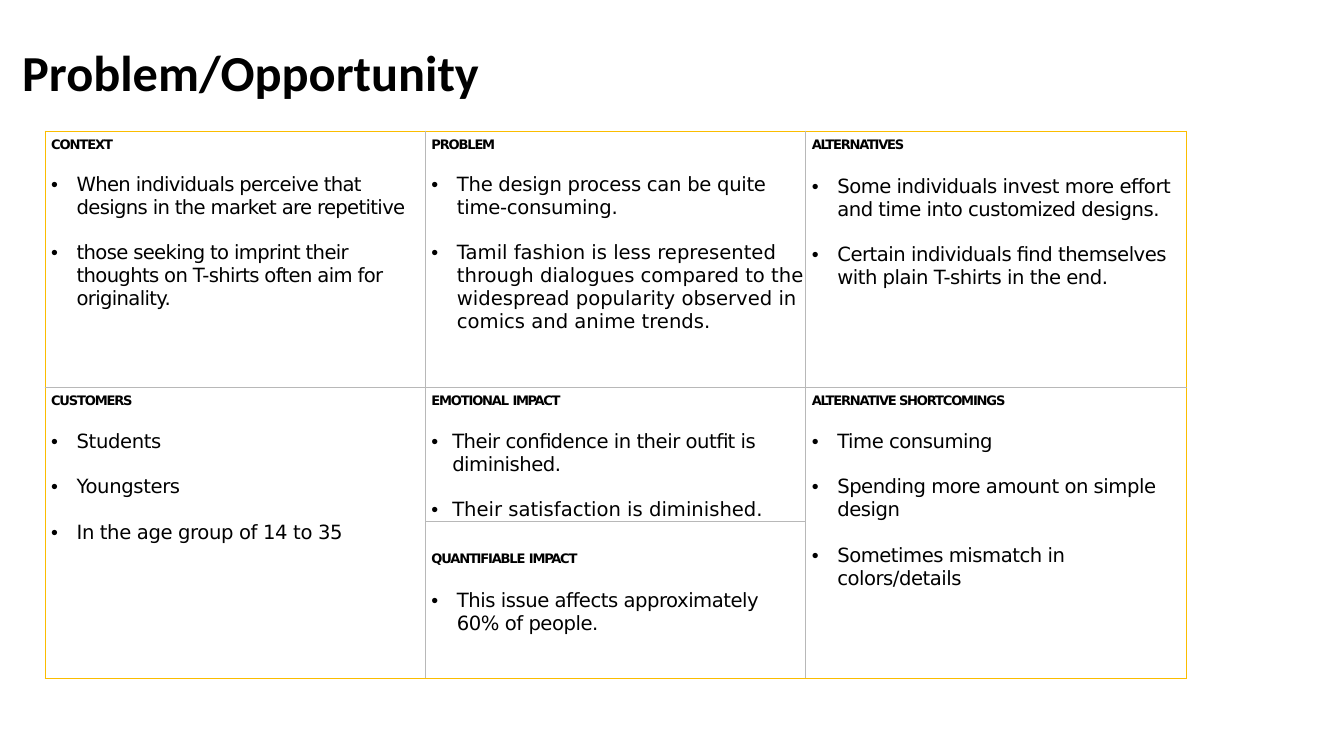
from pptx import Presentation
from pptx.dml.color import RGBColor as Rgb
from pptx.enum.text import MSO_ANCHOR as Anchor, PP_ALIGN as Align
from pptx.oxml.ns import qn
from pptx.util import Inches as In, Pt
from lxml.etree import SubElement as Sub, Element

BLACK, AMBER, GRAY = "000000", "FBBD00", "B8B8B8"
SANS = "DejaVu Sans"
COLS = (5.66, 5.66, 5.67)
ROWS = (3.82, 1.99, 2.33)
LINE = 24.4  # points in one line of body text

# (row, column): heading runs, bullets, gap below heading, hanging indent;
# each run or bullet carries its letter spacing in points
CELLS = {
    (0, 0): ([("CONTEXT", -1.2)], [
        ("When individuals perceive that designs in the market are repetitive", -0.7),
        ("those seeking to imprint their thoughts on T-shirts often aim for originality.", -0.7),
    ], 22.6, 0.38),
    (0, 1): ([("PROBLEM", -1.3)], [
        ("The design process can be quite time-consuming.", -0.3),
        ("Tamil fashion is less represented through dialogues compared to the "
         "widespread popularity observed in comics and anime trends.", 0),
    ], 22.6, 0.38),
    (0, 2): ([("ALTERNATIVES", -1.4)], [
        ("Some individuals invest more effort and time into customized designs.", -0.5),
        ("Certain individuals find themselves with plain T-shirts in the end.", -0.5),
    ], LINE, 0.38),
    (1, 0): ([("CUSTOMERS", -1.3)], [
        ("Students", -0.4),
        ("Youngsters", -0.4),
        ("In the age group of 14 to 35", -0.4),
    ], 22.7, 0.38),
    (1, 1): ([("EMOTIONAL ", -1.3), ("IMPACT", -1.5)], [
        ("Their confidence in their outfit is diminished.", -0.5),
        ("Their satisfaction is diminished.", 0),
    ], 22.7, 0.31),
    (1, 2): ([("ALTERNATIVE SHORTCOMINGS", -1.3)], [
        ("Time consuming", -0.5),
        ("Spending more amount on simple design", -0.5),
        ("Sometimes mismatch in colors/details", -0.5),
    ], 22.7, 0.38),
    (2, 1): ([("QUANTIFIABLE ", -1.3), ("IMPACT", -1.4)], [
        ("This issue affects approximately 60% of people.", -0.5),
    ], 24.3, 0.38),
}


def color(code):
    return Rgb.from_string(code)


def add_run(para, text, size, bold, font=SANS, gap=0):
    run = para.add_run()
    run.text = text
    run.font.name, run.font.size, run.font.bold = font, Pt(size), bold
    run.font.color.rgb = color(BLACK)
    if gap:
        run.font._element.set("spc", str(round(gap * 100)))


def indent(para, hang=0):
    props = para._p.get_or_add_pPr()
    props.set("marL", str(In(0.09 + hang)))
    props.set("indent", str(In(-hang)))
    if hang:
        Sub(props, qn("a:buFont")).set("typeface", "Arial")
        Sub(props, qn("a:buChar")).set("char", "•")


def add_title(slide):
    title = slide.shapes.title
    title.left, title.top, title.width, title.height = map(In, (0.33, 0.28, 16.74, 1.23))
    frame = title.text_frame
    frame.margin_left = frame.margin_right = frame.margin_bottom = 0
    frame.margin_top = In(0.01)
    frame.vertical_anchor = Anchor.MIDDLE
    para = frame.paragraphs[0]
    para.alignment, para.line_spacing = Align.LEFT, Pt(87.5)
    add_run(para, "Problem/Opportunity", 54, True, "Calibri")


def set_edges(cell, row, col):
    """Amber on the outer frame, gray between cells."""
    low = row == 2 or (row == 1 and col != 1)
    outer = {"lnL": col == 0, "lnR": col == 2, "lnT": row == 0, "lnB": low}
    props = cell._tc.get_or_add_tcPr()
    for spot, (tag, frame) in enumerate(outer.items()):
        line = Element(qn("a:" + tag), w=str(Pt(0.75)))
        fill = Sub(line, qn("a:solidFill"))
        Sub(fill, qn("a:srgbClr")).set("val", AMBER if frame else GRAY)
        props.insert(spot, line)


def fill_cell(cell, head, items, gap, hang):
    frame = cell.text_frame
    para = frame.paragraphs[0]
    indent(para)
    for text, track in head:
        add_run(para, text, 14, True, gap=track)
    for num, (text, track) in enumerate(items):
        para = frame.add_paragraph()
        indent(para, hang)
        para.space_before = Pt(LINE if num else gap)
        add_run(para, text, 21, False, gap=track)


def add_grid(slide):
    table = slide.shapes.add_table(
        3, 3, In(0.67), In(1.95), In(sum(COLS)), In(sum(ROWS))).table
    table.first_row = table.horz_banding = False
    for col, width in zip(table.columns, COLS):
        col.width = In(width)
    for row, height in zip(table.rows, ROWS):
        row.height = In(height)
    # Outer columns span the two lower rows
    for col in (0, 2):
        table.cell(1, col).merge(table.cell(2, col))
    for row in range(3):
        for col in range(3):
            cell = table.cell(row, col)
            cell.fill.background()
            cell.margin_left = cell.margin_right = cell.margin_bottom = 0
            cell.margin_top = In(0.45 if row == 2 else 0.09)
            set_edges(cell, row, col)
            if (row, col) in CELLS:
                fill_cell(cell, *CELLS[row, col])


def main():
    deck = Presentation()
    deck.slide_width, deck.slide_height = In(20), In(11.25)
    slide = deck.slides.add_slide(deck.slide_layouts[5])
    add_grid(slide)
    add_title(slide)
    deck.save("out.pptx")


if __name__ == "__main__":
    main()
